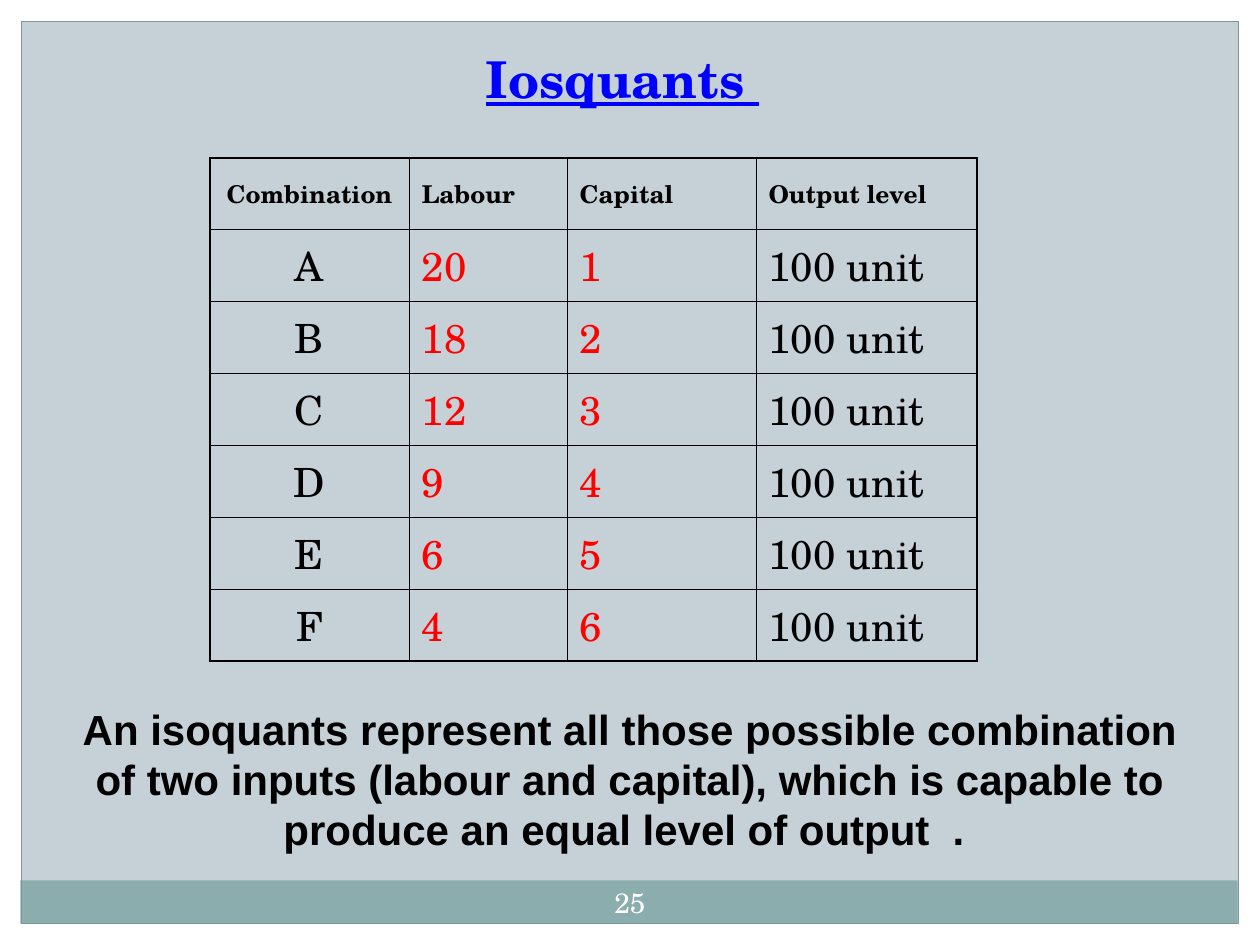
from dataclasses import dataclass
from typing import Any

from pptx import Presentation
from pptx.dml.color import RGBColor
from pptx.enum.shapes import MSO_SHAPE as Shape
from pptx.enum.text import MSO_ANCHOR as Anchor, PP_ALIGN as Align
from pptx.oxml.ns import qn
from pptx.util import Cm, Pt
from lxml.etree import SubElement

COLORS = {
    "background": "C5D1D7",
    "margin": "FFFFFF",
    "footer": "8CADAE",
    "frame": "7B9899",
    "title": "0000FF",
    "text": "000000",
    "input": "FF0000",
    "number": "FFFFFF",
}
HEADERS = ["Combination", "Labour", "Capital", "Output level"]
INPUTS = [("A", 20, 1), ("B", 18, 2), ("C", 12, 3), ("D", 9, 4), ("E", 6, 5), ("F", 4, 6)]
WIDTHS = [4.02, 3.18, 3.81, 4.45]
ROW_HEIGHT = 1.45


@dataclass
class SlideWriter:
    """Holds the style and the current slide, and adds elements to it."""

    page: Any
    serif: str = "TeX Gyre Schola"
    sans: str = "Arial"
    thin: float = 0.45
    thick: float = 1.08

    def color(self, name):
        return RGBColor.from_string(COLORS[name])

    def background(self, name):
        fill = self.page.background.fill
        fill.solid()
        fill.fore_color.rgb = self.color(name)

    def rect(self, left, top, width, height, fill=None, line=None):
        shape = self.page.shapes.add_shape(
            Shape.RECTANGLE, Cm(left), Cm(top), Cm(width), Cm(height))
        shape.shadow.inherit = False
        if fill:
            shape.fill.solid()
            shape.fill.fore_color.rgb = self.color(fill)
        else:
            shape.fill.background()
        if line:
            shape.line.color.rgb = self.color(line)
            shape.line.width = Pt(0.75)
        else:
            shape.line.fill.background()

    def span(self, para, text, size, color, font=None, bold=False, underline=False):
        span = para.add_run()
        span.text = text
        span.font.name = font or self.serif
        span.font.size = Pt(size)
        span.font.bold = bold
        span.font.underline = underline
        span.font.color.rgb = self.color(color)

    def text(self, left, top, width, height, anchor=Anchor.TOP, inset=0.25):
        box = self.page.shapes.add_textbox(Cm(left), Cm(top), Cm(width), Cm(height))
        frame = box.text_frame
        frame.word_wrap = True
        frame.vertical_anchor = anchor
        frame.margin_left = frame.margin_right = Cm(inset)
        para = frame.paragraphs[0]
        para.alignment = Align.CENTER
        return para

    def borders(self, cell, widths):
        properties = cell._tc.get_or_add_tcPr()
        for side, width in zip(("a:lnL", "a:lnR", "a:lnT", "a:lnB"), widths):
            line = SubElement(properties, qn(side), w=str(Pt(width)))
            fill = SubElement(line, qn("a:solidFill"))
            SubElement(fill, qn("a:srgbClr"), val=COLORS["text"])

    def table(self, left, top, widths, row_height, rows):
        table = self.page.shapes.add_table(
            len(rows), len(widths), Cm(left), Cm(top),
            Cm(sum(widths)), Cm(row_height * len(rows))).table
        table.first_row = table.horz_banding = False
        for column, width in zip(table.columns, widths):
            column.width = Cm(width)
        last_row, last_column = len(rows) - 1, len(widths) - 1
        for i, values in enumerate(rows):
            table.rows[i].height = Cm(row_height)
            for j, value in enumerate(values):
                cell = table.cell(i, j)
                cell.vertical_anchor = Anchor.MIDDLE
                edges = (j == 0, j == last_column, i == 0, i == last_row)
                self.borders(cell, [self.thick if edge else self.thin for edge in edges])
                cell.fill.background()
                para = cell.text_frame.paragraphs[0]
                para.alignment = Align.CENTER if j == 0 else Align.LEFT
                is_header = i == 0
                is_input = not is_header and j in (1, 2)
                self.span(para, str(value), 14 if is_header else 23,
                          "input" if is_input else "text", bold=is_header)


def main():
    deck = Presentation()
    deck.slide_width, deck.slide_height = Cm(25.4), Cm(19.05)
    writer = SlideWriter(deck.slides.add_slide(deck.slide_layouts[6]))

    writer.background("background")
    edge = 0.43
    writer.rect(0, 19.05 - edge, 25.4, edge, fill="margin")
    writer.rect(0, 0, 25.4, edge, fill="margin")
    writer.rect(25.4 - edge, 0, edge, 19.05, fill="margin")
    writer.rect(0, 0, edge, 19.05, fill="margin")
    writer.rect(0.41, 17.75, 24.54, 0.87, fill="footer")
    writer.rect(edge, edge, 25.4 - 2 * edge, 19.05 - 2 * edge, line="frame")

    title = writer.text(0.85, 0.2, 23.7, 2.12, Anchor.BOTTOM)
    writer.span(title, "Iosquants ", 29, "title", bold=True, underline=True)
    writer.span(title, " ", 29, "title", bold=True)

    rows = [HEADERS] + [(*values, "100 unit") for values in INPUTS]
    writer.table(4.23, 3.18, WIDTHS, ROW_HEIGHT, rows)

    summary = writer.text(1.06, 14.05, 23.28, 3.3)
    writer.span(summary, "An isoquants represent all those possible combination of two inputs "
                "(labour and capital), which is capable to produce an equal level of output  . ",
                24, "text", font=writer.sans, bold=True)

    number = writer.text(11.85, 17.58, 1.7, 1.22, Anchor.MIDDLE, inset=0.13)
    writer.span(number, "25", 16, "number")

    deck.save("out.pptx")


if __name__ == "__main__":
    main()
